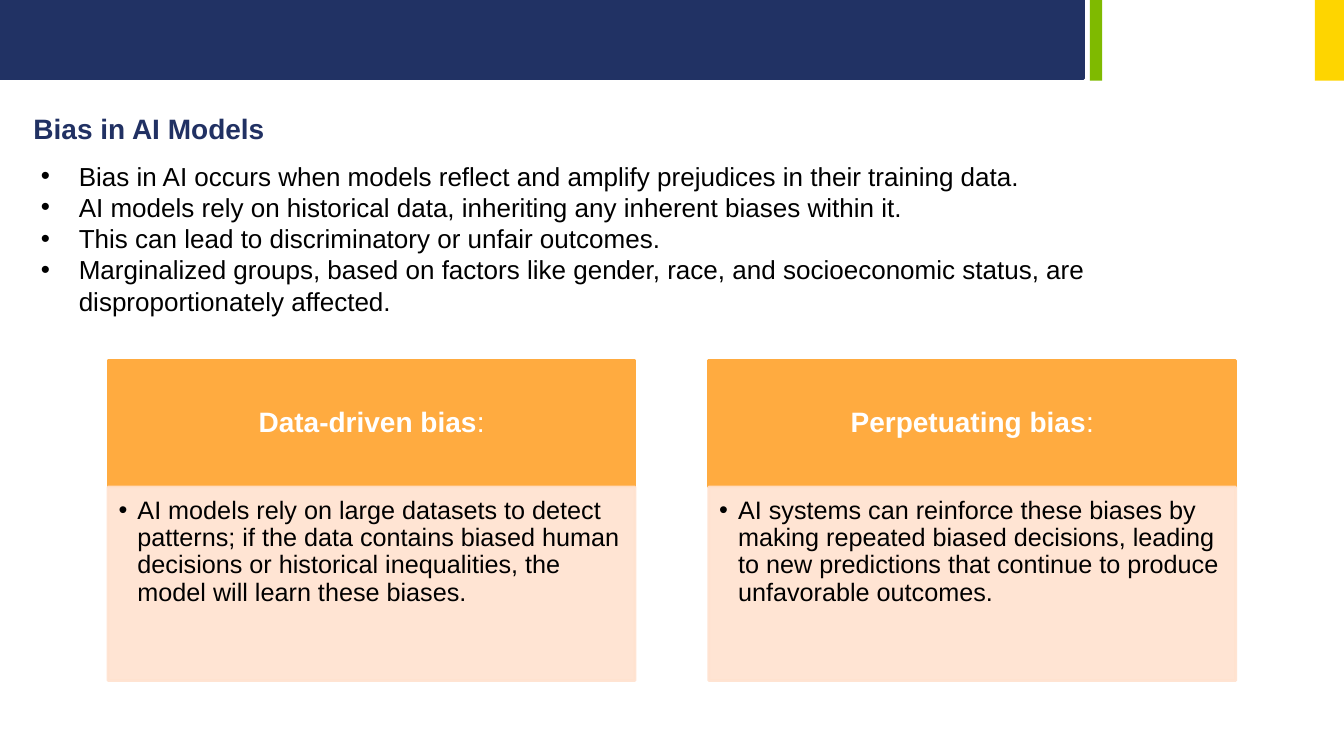
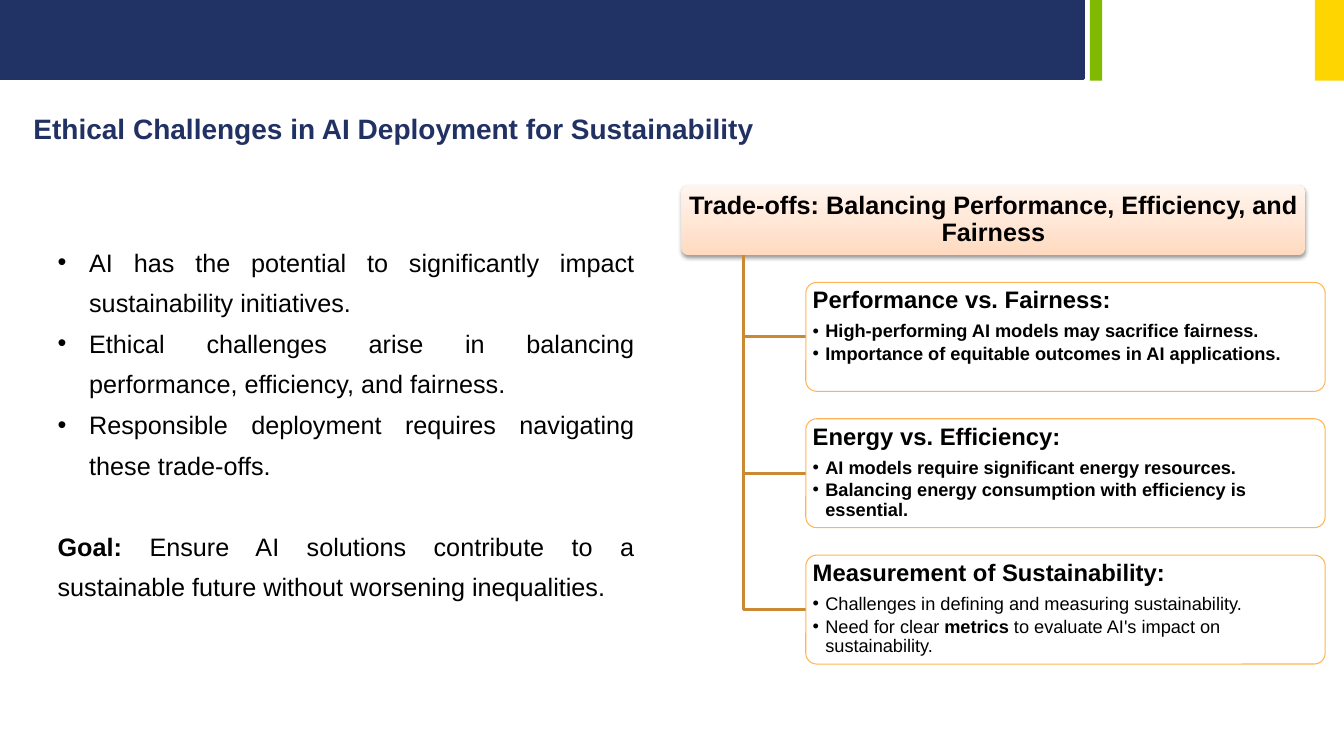
from lxml.etree import SubElement
from pptx import Presentation
from pptx.dml.color import RGBColor
from pptx.enum.shapes import MSO_SHAPE
from pptx.enum.text import MSO_ANCHOR, PP_ALIGN
from pptx.oxml.ns import qn
from pptx.util import Pt

NAVY, GREEN, YELLOW = "213264", "7FBA00", "FED500"
TITLE, BLACK, WHITE = "213163", "000000", "FFFFFF"
ORANGE, PEACH, BROWN = "FFAB40", "FFE2CF", "CC8933"
HEADER_TOP, HEADER_BOTTOM = "FFF5EE", "FFDAC0"
FONT = "Arial"


def color(value):
    """Turn a hex string into a colour."""
    return RGBColor.from_string(value)


def set_opacity(properties, percent):
    """Make every plain colour below an element partly transparent."""
    for node in list(properties.iter(qn("a:srgbClr"))):
        SubElement(node, qn("a:alpha"), val=str(percent * 1000))


def add_text(box, text, size=18, ink=BLACK, align=PP_ALIGN.LEFT, line=None, before=None, after=None, indent=None):
    """Add a paragraph in which double asterisks switch bold on and off."""
    frame = box.text_frame
    para = frame.add_paragraph() if frame.text else frame.paragraphs[0]
    if indent:
        properties = para._p.get_or_add_pPr()
        properties.set("marL", str(Pt(indent)))
        properties.set("indent", str(-Pt(indent)))
        SubElement(properties, qn("a:buFont"), typeface=FONT)
        SubElement(properties, qn("a:buChar"), char="•")
    para.alignment = align
    para.line_spacing = line
    para.space_before = before
    para.space_after = after
    for index, part in enumerate(text.split("**")):
        if part:
            span = para.add_run()
            span.text = part
            span.font.name = FONT
            span.font.size = Pt(size)
            span.font.bold = index % 2 == 1
            span.font.color.rgb = color(ink)


class Slides:
    """Hold the shared style and the current slide."""

    def __init__(self):
        """Start a widescreen deck."""
        self.deck = Presentation()
        self.deck.slide_width, self.deck.slide_height = Pt(960), Pt(540)
        self.page = None

    def new_page(self, title):
        """Add a slide with the coloured bands and its title."""
        self.page = self.deck.slides.add_slide(self.deck.slide_layouts[6])
        self.shape(0, 0, 774, 56.2, NAVY, NAVY, 2)
        self.shape(778.5, 0, 8.7, 57.6, GREEN)
        self.shape(939.2, 0, 20.8, 57.6, YELLOW)
        add_text(self.text_box(16.8, 76, 751.7, 31.5), f"**{title}**", size=20, ink=TITLE)

    def set_frame(self, box, margins, anchor):
        """Set wrapping, insets and vertical anchor."""
        frame = box.text_frame
        frame.word_wrap = True
        frame.vertical_anchor = anchor
        frame.margin_left, frame.margin_top, frame.margin_right, frame.margin_bottom = map(Pt, margins)

    def text_box(self, left, top, width, height):
        """Add an empty text box."""
        box = self.page.shapes.add_textbox(Pt(left), Pt(top), Pt(width), Pt(height))
        self.set_frame(box, (7.2, 3.6, 7.2, 3.6), MSO_ANCHOR.TOP)
        return box

    def shape(self, left, top, width, height, fill, outline=None, weight=1, rounded=False,
              margins=(0, 0, 0, 0), anchor=MSO_ANCHOR.TOP, opacity=100):
        """Add a plain or rounded rectangle."""
        kind = MSO_SHAPE.ROUNDED_RECTANGLE if rounded else MSO_SHAPE.RECTANGLE
        box = self.page.shapes.add_shape(kind, Pt(left), Pt(top), Pt(width), Pt(height))
        box.shadow.inherit = False
        if rounded:
            box.adjustments[0] = 0.1
        box.fill.solid()
        box.fill.fore_color.rgb = color(fill)
        if outline:
            box.line.color.rgb = color(outline)
            box.line.width = Pt(weight)
        else:
            box.line.fill.background()
        if opacity < 100:
            set_opacity(box._element.spPr, opacity)
        self.set_frame(box, margins, anchor)
        return box

    def branch(self, left, top, right, bottom):
        """Add an open outline that runs down and then right."""
        builder = self.page.shapes.build_freeform(Pt(left), Pt(top))
        corners = [(Pt(left), Pt(bottom)), (Pt(right), Pt(bottom))]
        builder.add_line_segments(corners, close=False)
        elbow = builder.convert_to_shape()
        elbow.shadow.inherit = False
        elbow.fill.background()
        elbow.line.color.rgb = color(BROWN)
        elbow.line.width = Pt(2)

    def panel(self, left, heading, detail):
        """Add an orange heading above a peach body."""
        top, width, head_height = 257.3, 376.4, 90.6
        head = self.shape(left, top, width, head_height, ORANGE, ORANGE, 2,
                          margins=(11.5, 6.5, 11.5, 6.5), anchor=MSO_ANCHOR.MIDDLE)
        add_text(head, f"**{heading}**:", size=20, ink=WHITE, align=PP_ALIGN.CENTER, line=0.9)
        body = self.shape(left, top + head_height, width, 138.2, PEACH, PEACH, 2,
                          margins=(7.5, 7.5, 10, 11.5), opacity=90)
        add_text(body, detail, line=0.9, indent=13.5)

    def tree_root(self, left, top, width, height, text):
        """Add the shaded heading of a tree."""
        root = self.shape(left, top, width, height, HEADER_TOP, rounded=True,
                          margins=(2.7, 1.8, 2.7, 1.8), anchor=MSO_ANCHOR.MIDDLE)
        root.fill.gradient()
        root.fill.gradient_angle = 90
        for stop, shade in zip(root.fill.gradient_stops, (HEADER_BOTTOM, HEADER_TOP)):
            stop.color.rgb = color(shade)
        effects = root._element.spPr.find(qn("a:effectLst"))
        shadow = SubElement(effects, qn("a:outerShdw"), blurRad=str(Pt(3.1)), dist=str(Pt(1.6)),
                            dir="5400000", rotWithShape="0")
        SubElement(shadow, qn("a:srgbClr"), val=BLACK)
        set_opacity(shadow, 38)
        add_text(root, f"**{text}**", align=PP_ALIGN.CENTER, line=0.9)

    def tree(self, heading, cards):
        """Add a heading with one branch for each card."""
        left, top, width, height = 486.7, 132.3, 445.7, 50
        first_top, pitch, card_height, card_left = 201.7, 97.4, 77.8, 575.6
        trunk, base = left + width / 10, top + height
        self.tree_root(left, top, width, height, heading)
        for index, (title, points) in enumerate(cards):
            card_top = first_top + index * pitch
            self.branch(trunk, base, card_left, card_top + card_height / 2)
            card = self.shape(card_left, card_top, 371, card_height, WHITE, ORANGE, 0.75,
                              rounded=True, margins=(2.7, 1.8, 2.7, 1.8), opacity=90)
            add_text(card, f"**{title}**", size=17, line=0.9, after=Pt(6))
            for point in points:
                add_text(card, point, size=13, line=0.9, after=Pt(1.9), indent=9)


def main():
    """Build and save both slides."""
    slides = Slides()

    slides.new_page("Bias in AI Models")
    summary = slides.text_box(22.2, 110.9, 895, 120.2)
    for point in (
        "Bias in AI occurs when models reflect and amplify prejudices in their training data.",
        "AI models rely on historical data, inheriting any inherent biases within it.",
        "This can lead to discriminatory or unfair outcomes.",
        "Marginalized groups, based on factors like gender, race, and socioeconomic status, "
        "are disproportionately affected.",
    ):
        add_text(summary, point, size=18.6, indent=27)
    slides.panel(77.2, "Data-driven bias",
                 "AI models rely on large datasets to detect patterns; if the data contains biased human "
                 "decisions or historical inequalities, the model will learn these biases.")
    slides.panel(506.2, "Perpetuating bias",
                 "AI systems can reinforce these biases by making repeated biased decisions, leading "
                 "to new predictions that continue to produce unfavorable outcomes.")

    slides.new_page("Ethical Challenges in AI Deployment for Sustainability")
    overview = slides.text_box(34.1, 165.4, 426.2, 267.8)
    for point in (
        "AI has the potential to significantly impact sustainability initiatives.",
        "Ethical challenges arise in balancing performance, efficiency, and fairness.",
        "Responsible deployment requires navigating these trade-offs.",
    ):
        add_text(overview, point, align=PP_ALIGN.JUSTIFY, line=Pt(29), indent=22.5)
    add_text(overview, "**Goal: **Ensure AI solutions contribute to a sustainable future without "
             "worsening inequalities.", align=PP_ALIGN.JUSTIFY, line=Pt(29), before=Pt(29))
    slides.tree("Trade-offs: Balancing Performance, Efficiency, and Fairness", (
        ("Performance vs. Fairness:", (
            "**High-performing AI models may sacrifice fairness.**",
            "**Importance of equitable outcomes in AI applications.**")),
        ("Energy vs. Efficiency:", (
            "**AI models require significant energy resources.**",
            "**Balancing energy consumption with efficiency is essential.**")),
        ("Measurement of Sustainability:", (
            "Challenges in defining and measuring sustainability.",
            "Need for clear **metrics** to evaluate AI's impact on sustainability.")),
    ))

    slides.deck.save("out.pptx")


if __name__ == "__main__":
    main()
